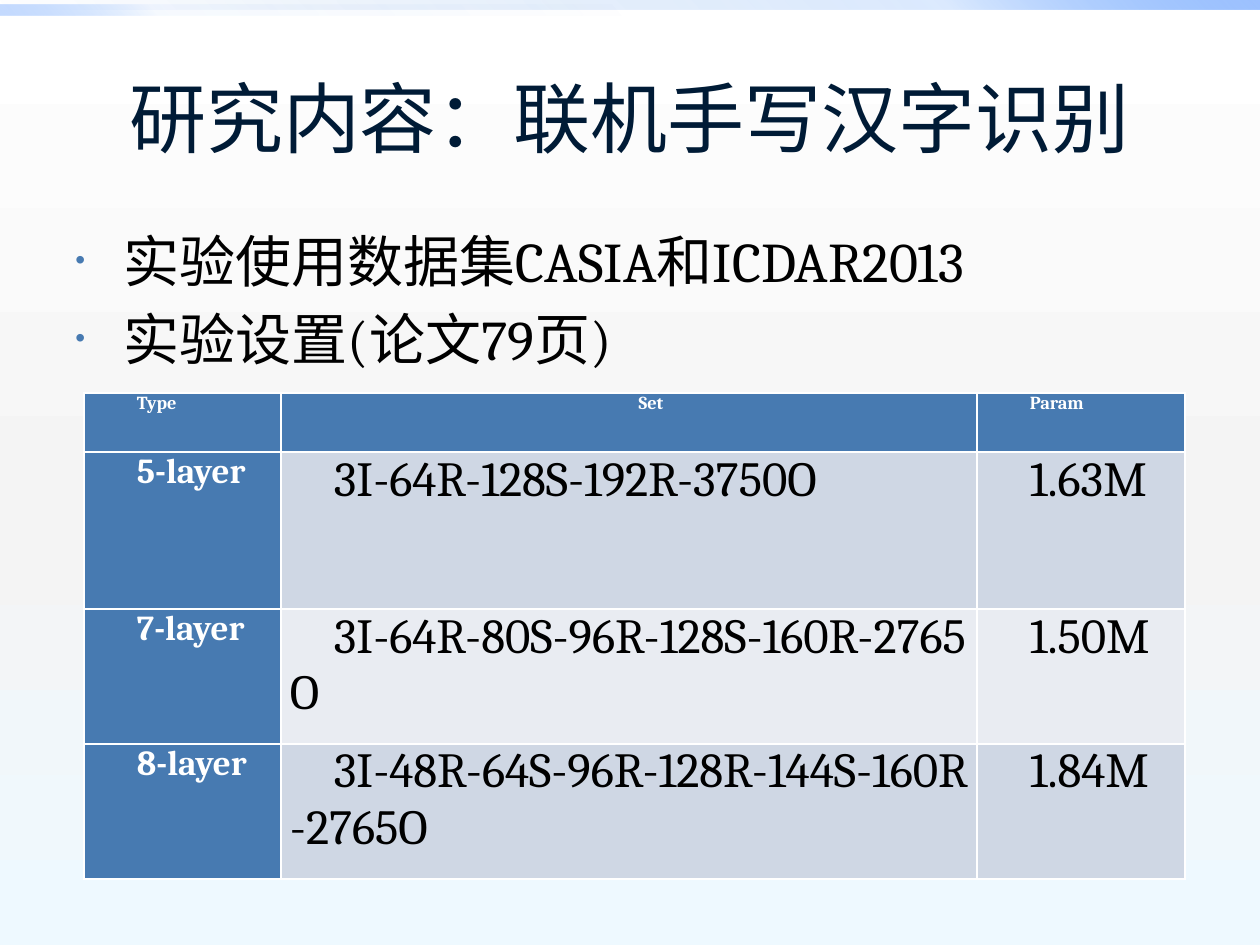
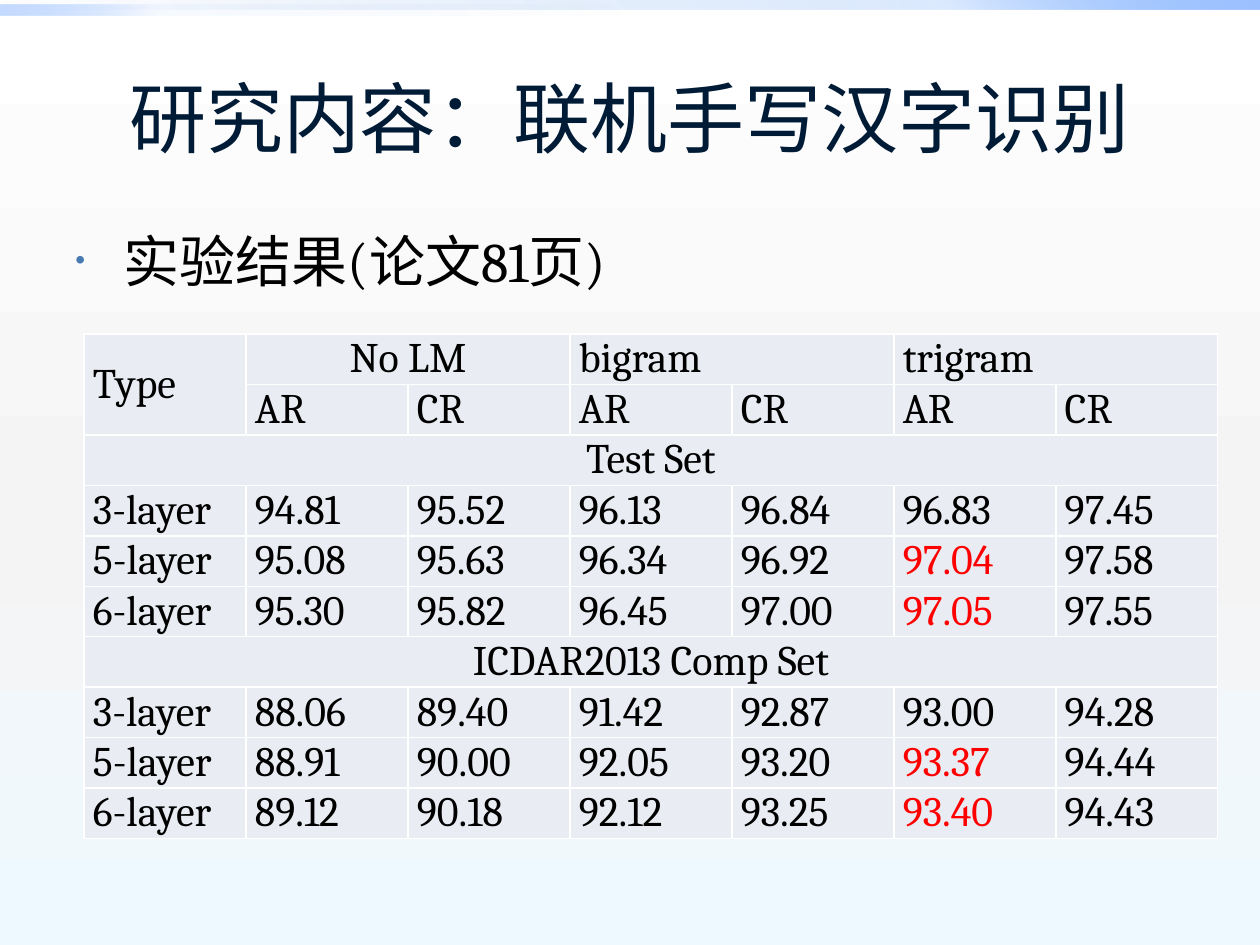
from lxml.etree import SubElement
from pptx import Presentation
from pptx.dml.color import RGBColor
from pptx.enum.shapes import MSO_SHAPE
from pptx.enum.text import MSO_ANCHOR, MSO_AUTO_SIZE, PP_ALIGN
from pptx.oxml.ns import qn
from pptx.util import Emu, Pt

# Content
TITLE = "研究内容：联机手写汉字识别"
SETUP_BULLETS = ["实验使用数据集CASIA和ICDAR2013", "实验设置(论文79页)"]
RESULT_BULLETS = ["实验结果(论文81页)"]
NETWORKS = [
    ("Type", "Set", "Param"),
    ("5-layer", "3I-64R-128S-192R-3750O", "1.63M"),
    ("7-layer", "3I-64R-80S-96R-128S-160R-2765O", "1.50M"),
    ("8-layer", "3I-48R-64S-96R-128R-144S-160R-2765O", "1.84M"),
]
MODELS = ["No LM", "bigram", "trigram"]
MEASURES = ["AR", "CR"]
RESULTS = {
    "Test Set": [
        ("3-layer", "94.81", "95.52", "96.13", "96.84", "96.83", "97.45"),
        ("5-layer", "95.08", "95.63", "96.34", "96.92", "97.04", "97.58"),
        ("6-layer", "95.30", "95.82", "96.45", "97.00", "97.05", "97.55"),
    ],
    "ICDAR2013 Comp Set": [
        ("3-layer", "88.06", "89.40", "91.42", "92.87", "93.00", "94.28"),
        ("5-layer", "88.91", "90.00", "92.05", "93.20", "93.37", "94.44"),
        ("6-layer", "89.12", "90.18", "92.12", "93.25", "93.40", "94.43"),
    ],
}
HIGHLIGHTS = {"97.04", "97.05", "93.37", "93.40"}

# Shared style: gradient stops are (position, colour, opacity) in percent
NAVY, BLUE, BLACK, WHITE, RED = "001B36", "477AB1", "000000", "FFFFFF", "FF0000"
DARK_ROW, LIGHT_ROW = "CFD7E4", "E9ECF2"
TITLE_FONT, BODY_FONT = "Arial", "Cambria"
BACKGROUND = [(0, "FFFFFF", 100), (55, "F4F4F4", 100), (100, "EEF9FF", 100)]
BANDS = [
    ((0, 0, 1260, 10), 315, [(0, "0058B7", 0), (75, "4F95FF", 20), (100, "9EC2FF", 100)]),
    ((0, 5, 630, 10), 135, [(0, "0058B7", 0), (75, "4F95FF", 5), (100, "9EC2FF", 60)]),
]
TITLE_AREA = (63, 38, 1134, 157)


def px(length):
    return Emu(round(length * 914400 / 126))


def color(value):
    return RGBColor.from_string(value)


def set_gradient(owner, fill, stops, angle):
    fill.gradient()
    fill.gradient_angle = 360 - angle
    stop_list = next(owner.element.iter(qn("a:gsLst")))
    for stop in list(stop_list):
        stop_list.remove(stop)
    for position, value, opacity in stops:
        stop = SubElement(stop_list, qn("a:gs"), pos=str(position * 1000))
        tint = SubElement(stop, qn("a:srgbClr"), val=value)
        SubElement(tint, qn("a:alpha"), val=str(opacity * 1000))


def set_font(paragraph, name, size, value, bold=False):
    font = paragraph.font
    font.name, font.size, font.bold = name, Pt(size), bold
    font.color.rgb = color(value)


def add_page(deck, bullets, bullet_height):
    page = deck.slides.add_slide(deck.slide_layouts[5])
    # Top bands
    for area, angle, stops in BANDS:
        band = page.shapes.add_shape(MSO_SHAPE.RECTANGLE, *map(px, area))
        band.shadow.inherit = False
        band.line.fill.background()
        set_gradient(band, band.fill, stops, angle)
    # Title
    title = page.shapes.title
    title.left, title.top, title.width, title.height = map(px, TITLE_AREA)
    frame = title.text_frame
    frame.text = TITLE
    frame.auto_size = MSO_AUTO_SIZE.NONE
    frame.vertical_anchor = MSO_ANCHOR.MIDDLE
    frame.paragraphs[0].alignment = PP_ALIGN.CENTER
    set_font(frame.paragraphs[0], TITLE_FONT, 44, NAVY)
    # Bullets
    box = page.shapes.add_textbox(px(63), px(220), px(1134), px(bullet_height))
    box.text_frame.word_wrap = True
    box.text_frame.text = "\n".join(bullets)
    for para in box.text_frame.paragraphs:
        set_font(para, BODY_FONT, 32, BLACK)
        para.space_before = Pt(6.4)
        properties = para._p.get_or_add_pPr()
        properties.set("marL", str(px(48)))
        properties.set("indent", str(-px(48)))
        bullet_color = SubElement(properties, qn("a:buClr"))
        SubElement(bullet_color, qn("a:srgbClr"), val=BLUE)
        SubElement(properties, qn("a:buSzPct"), val="50000")
        SubElement(properties, qn("a:buFont"), typeface="Arial")
        SubElement(properties, qn("a:buChar"), char="•")
        # Bullet marks must come before the default run properties
        properties.append(properties.find(qn("a:defRPr")))
    return page


def add_grid(page, left, top, widths, heights, has_header):
    frame = page.shapes.add_table(len(heights), len(widths), px(left), px(top),
                                  px(sum(widths)), px(sum(heights)))
    table = frame.table
    table.first_row, table.horz_banding = has_header, False
    for column, width in zip(table.columns, widths):
        column.width = px(width)
    for row, height in zip(table.rows, heights):
        row.height = px(height)
    return table


def fill_cell(cell, text, fill, size, value, bold=False, alignment=PP_ALIGN.LEFT,
              anchor=MSO_ANCHOR.TOP, indent=0):
    cell.fill.solid()
    cell.fill.fore_color.rgb = color(fill)
    cell.margin_left = cell.margin_right = px(9)
    cell.margin_top = cell.margin_bottom = 0
    cell.vertical_anchor = anchor
    cell.text = text
    para = cell.text_frame.paragraphs[0]
    para.alignment = alignment
    set_font(para, BODY_FONT, size, value, bold)
    if indent:
        para._p.get_or_add_pPr().set("indent", str(px(indent)))


def add_network_table(page):
    table = add_grid(page, 84, 393, [197, 696, 208], [59, 157, 135, 135], True)
    for r, texts in enumerate(NETWORKS):
        for c, text in enumerate(texts):
            if r == 0:
                look = (BLUE, 10.5, WHITE, True)
            elif c == 0:
                look = (BLUE, 20, WHITE, True)
            else:
                look = (DARK_ROW if r % 2 else LIGHT_ROW, 28, BLACK)
            alignment = PP_ALIGN.CENTER if (r, c) == (0, 1) else PP_ALIGN.LEFT
            fill_cell(table.cell(r, c), text, *look, alignment=alignment, indent=44)


def add_result_table(page):
    # Header rows, then a full-width caption above each set
    rows = [["Type"] + [text for model in MODELS for text in (model, "")],
            [""] + MEASURES * len(MODELS)]
    captions = []
    for caption, values in RESULTS.items():
        captions.append(len(rows))
        rows.append([caption] + [""] * 6)
        rows.extend(values)
    heights = [37 if r < 2 or r in captions else 47 for r in range(len(rows))]
    table = add_grid(page, 84, 334, [162] * 7, heights, False)
    for r, texts in enumerate(rows):
        for c, text in enumerate(texts):
            centred = r in captions or text == MODELS[0]
            fill_cell(table.cell(r, c), text, LIGHT_ROW, 24,
                      RED if text in HIGHLIGHTS else BLACK,
                      alignment=PP_ALIGN.CENTER if centred else PP_ALIGN.JUSTIFY,
                      anchor=MSO_ANCHOR.MIDDLE)
    table.cell(0, 0).merge(table.cell(1, 0))
    for c in (1, 3, 5):
        table.cell(0, c).merge(table.cell(0, c + 1))
    for r in captions:
        table.cell(r, 0).merge(table.cell(r, 6))


def main():
    deck = Presentation()
    deck.slide_width, deck.slide_height = px(1260), px(945)
    master = deck.slide_master
    set_gradient(master, master.background.fill, BACKGROUND, 90)
    add_network_table(add_page(deck, SETUP_BULLETS, 173))
    add_result_table(add_page(deck, RESULT_BULLETS, 93))
    deck.save("out.pptx")


if __name__ == "__main__":
    main()
